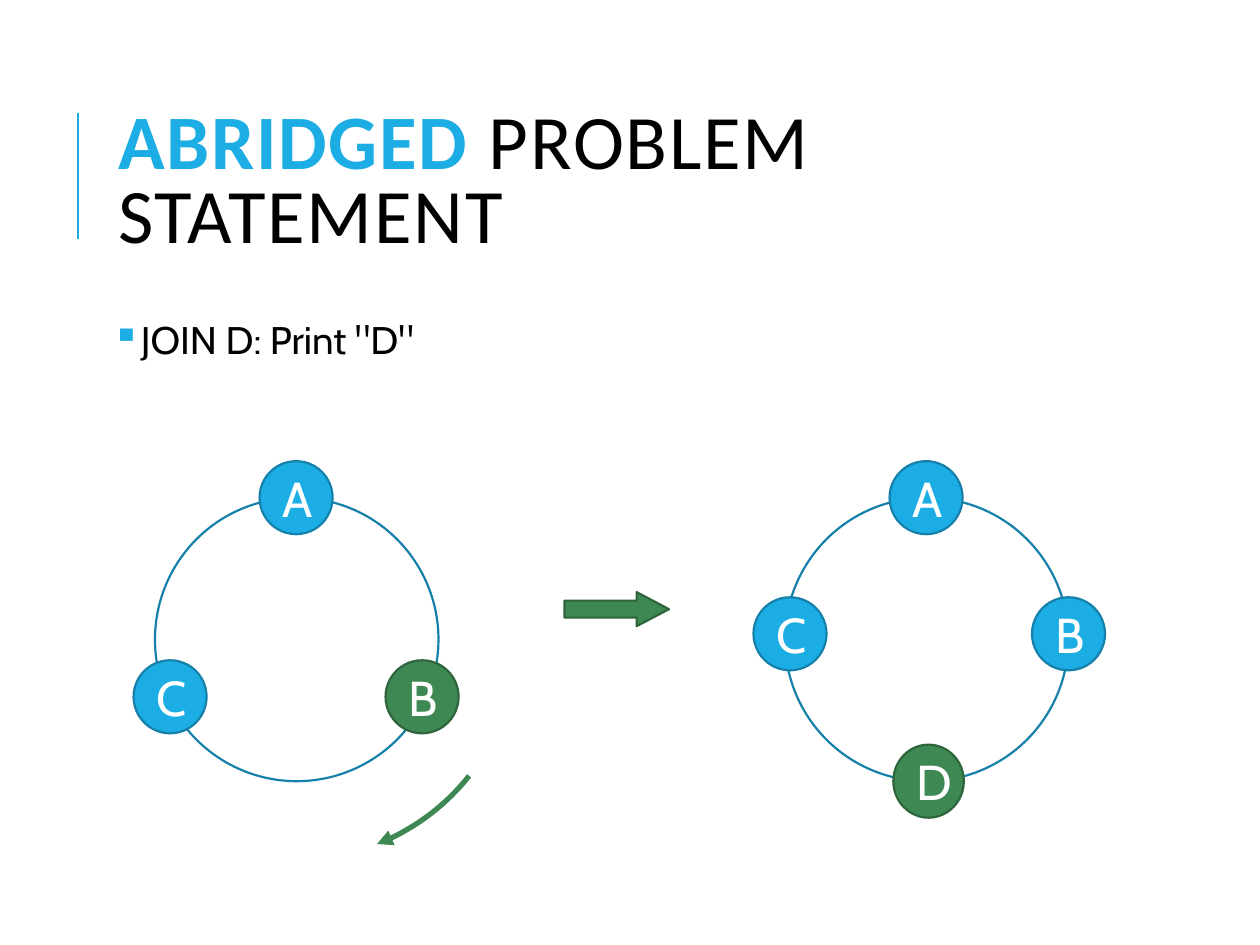
from lxml import etree
from pptx import Presentation
from pptx.dml.color import RGBColor
from pptx.enum.shapes import MSO_CONNECTOR, MSO_SHAPE
from pptx.enum.text import MSO_ANCHOR, PP_ALIGN
from pptx.oxml.ns import qn
from pptx.util import Inches, Pt

BLUE = RGBColor(0x1C, 0xAD, 0xE4)
DARK_BLUE = RGBColor(0x15, 0x80, 0xA9)
GREEN = RGBColor(0x3E, 0x88, 0x53)
DARK_GREEN = RGBColor(0x2E, 0x65, 0x3D)
BLACK = RGBColor(0, 0, 0)
WHITE = RGBColor(255, 255, 255)

RING_SIZE = 2.25
NODE_SIZE = 0.58


def style_font(font, name, size, color, bold=False):
    font.name, font.size, font.bold = name, Pt(size), bold
    font.color.rgb = color


def add_outlined(slide, kind, box, fill, line, width=1.25):
    shape = slide.shapes.add_shape(kind, *map(Inches, box))
    shape.shadow.inherit = False
    if fill is None:
        shape.fill.background()
    else:
        shape.fill.solid()
        shape.fill.fore_color.rgb = fill
    shape.line.color.rgb = line
    shape.line.width = Pt(width)
    return shape


def add_title(slide, left, top, width, height):
    # Accent rule beside the title
    rule = slide.shapes.add_connector(
        MSO_CONNECTOR.STRAIGHT, Inches(left - 0.22), Inches(top + 1.26),
        Inches(left - 0.22), Inches(top + 0.26))
    rule.line.color.rgb = BLUE
    rule.line.width = Pt(1.5)
    etree.SubElement(rule._element.spPr, qn("a:effectLst"))

    # Two-coloured title
    frame = slide.shapes.add_textbox(
        *map(Inches, (left, top, width, height))).text_frame
    frame.word_wrap = True
    frame.vertical_anchor = MSO_ANCHOR.MIDDLE
    heading = frame.paragraphs[0]
    heading.line_spacing = 0.8
    for words, color, bold in (("ABRIDGED ", BLUE, True),
                               ("PROBLEM STATEMENT", BLACK, False)):
        run = heading.add_run()
        run.text = words
        style_font(run.font, "Calibri", 44, color, bold)
        run.font._element.set("spc", "100")


def add_bullet(slide, left, top, width, height):
    frame = slide.shapes.add_textbox(
        *map(Inches, (left, top, width, height))).text_frame
    frame.word_wrap = True
    frame.margin_left = frame.margin_right = Inches(0.05)
    frame.margin_top = frame.margin_bottom = Inches(0.05)
    command = frame.paragraphs[0]
    command.text = 'JOIN D: Print "D"'
    command.line_spacing = 0.9
    command.space_after = Pt(2)
    props = command._p.get_or_add_pPr()
    props.set("marL", str(Inches(0.2)))
    props.set("indent", str(Inches(-0.2)))
    bullet_color = etree.SubElement(props, qn("a:buClr"))
    etree.SubElement(bullet_color, qn("a:srgbClr"), val=str(BLUE))
    etree.SubElement(props, qn("a:buChar"), char="▪")
    style_font(command.runs[0].font, "Cabin", 22, BLACK)


def add_ring(slide, left, top, nodes):
    """Draw a ring; nodes are (letter, x, y, width, is_current) within it."""
    add_outlined(slide, MSO_SHAPE.OVAL, (left, top, RING_SIZE, RING_SIZE),
                 None, DARK_BLUE)
    for letter, x, y, width, is_current in nodes:
        fill, line = (GREEN, DARK_GREEN) if is_current else (BLUE, DARK_BLUE)
        node = add_outlined(slide, MSO_SHAPE.OVAL,
                            (left + x, top + y, width, NODE_SIZE), fill, line)
        frame = node.text_frame
        frame.text = letter
        frame.vertical_anchor = MSO_ANCHOR.MIDDLE
        label = frame.paragraphs[0]
        label.alignment = PP_ALIGN.CENTER
        style_font(label.runs[0].font, "Cabin", 28, WHITE)


def add_step_arrow(slide, left, top, width, height):
    arrow = add_outlined(slide, MSO_SHAPE.RIGHT_ARROW,
                         (left, top, width, height), GREEN, DARK_GREEN)
    arrow.adjustments[0] = 0.5
    arrow.adjustments[1] = 0.95


def add_turn_arrow(slide, left, top, size, start, end):
    """Draw a clockwise arc arrow between two angles in degrees."""
    arc = add_outlined(slide, MSO_SHAPE.ARC, (left, top, size, size),
                       None, GREEN, 3)
    # Arc angles are stored in 60000ths of a degree, adjustments in 100000ths
    arc.adjustments[0] = start * 0.6
    arc.adjustments[1] = end * 0.6
    etree.SubElement(arc.line._get_or_add_ln(), qn("a:tailEnd"),
                     type="triangle")


def main():
    prs = Presentation()
    prs.slide_width, prs.slide_height = Inches(10), Inches(7.5)
    slide = prs.slides.add_slide(prs.slide_layouts[6])

    add_title(slide, 0.84, 0.64, 7.97, 1.64)
    add_bullet(slide, 0.84, 2.5, 7.08, 0.67)

    # Ring before the join
    add_ring(slide, 1.23, 3.95, [
        ("A", 0.83, -0.29, NODE_SIZE, False),
        ("C", -0.17, 1.29, NODE_SIZE, False),
        ("B", 1.83, 1.29, NODE_SIZE, True),
    ])
    add_turn_arrow(slide, 0.61, 3.33, 3.49, 38.35, 68.59)

    add_step_arrow(slide, 4.48, 4.7, 0.83, 0.27)

    # Ring after the join
    add_ring(slide, 6.23, 3.95, [
        ("A", 0.83, -0.29, NODE_SIZE, False),
        ("C", -0.25, 0.79, NODE_SIZE, False),
        ("B", 1.96, 0.79, NODE_SIZE, False),
        ("D", 0.86, 1.96, 0.56, True),
    ])

    prs.save("out.pptx")


if __name__ == "__main__":
    main()
